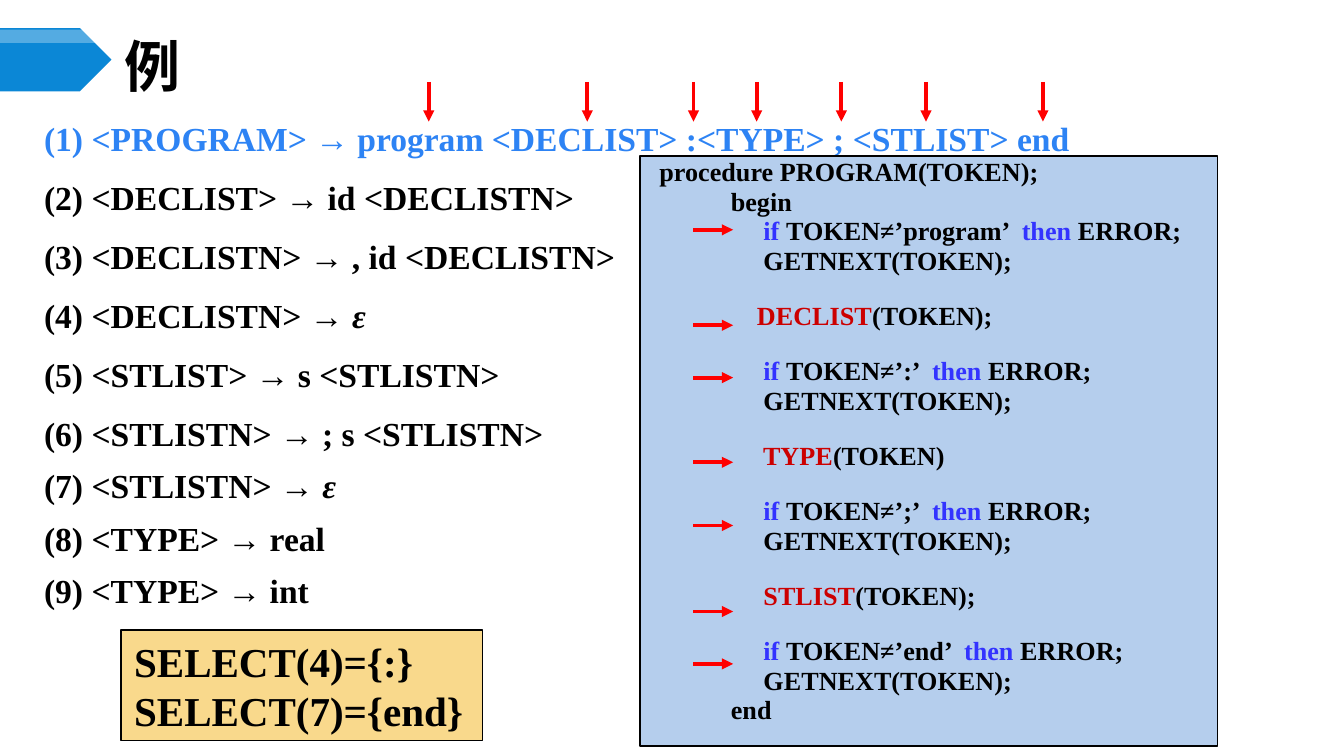
from dataclasses import dataclass
from typing import Optional

from lxml import etree
from pptx import Presentation
from pptx import util as u
from pptx.dml.color import RGBColor
from pptx.enum import shapes, text
from pptx.oxml.ns import qn


@dataclass(frozen=True)
class Theme:
    black: str = "000000"
    white: str = "FFFFFF"
    banner: str = "0B87D6"
    lead_rule: str = "2D83F4"
    keyword: str = "3333FF"
    call: str = "CC0000"
    arrow: str = "FF0000"
    code_fill: str = "B5CEED"
    select_fill: str = "F9D98C"
    serif: str = "Times New Roman"
    sans: str = "Noto Sans CJK SC"
    title_size: int = 30
    select_size: int = 22
    rule_size: int = 18
    code_size: int = 14


@dataclass(frozen=True)
class Run:
    words: str
    color: str = "000000"
    italic: bool = False


@dataclass(frozen=True)
class Line:
    runs: list[Run]
    before: float = 0
    indent: float = 0  # grid columns


@dataclass(frozen=True)
class Area:
    column: float
    row: float
    columns: float
    rows: float


THEME = Theme()
SLIDE_WIDTH = u.Inches(10)
CELL = SLIDE_WIDTH / 100  # square grid, 100 columns across

prs = Presentation()
prs.slide_width = SLIDE_WIDTH
prs.slide_height = SLIDE_WIDTH * 9 // 16
slide = prs.slides.add_slide(prs.slide_layouts[6])


def cells(count: float) -> u.Emu:
    return u.Emu(round(count * CELL))


def place(area: Area) -> list[u.Emu]:
    return [cells(n) for n in (area.column, area.row, area.columns, area.rows)]


def add_panel(area: Area, fill: str, kind=shapes.MSO_SHAPE.RECTANGLE,
              outline: Optional[str] = None, alpha: Optional[int] = None):
    panel = slide.shapes.add_shape(kind, *place(area))
    panel.shadow.inherit = False
    panel.fill.solid()
    panel.fill.fore_color.rgb = RGBColor.from_string(fill)
    if alpha is not None:
        color = panel.fill._xPr.find(".//" + qn("a:srgbClr"))
        etree.SubElement(color, qn("a:alpha"), val=str(alpha * 1000))
    if outline:
        panel.line.color.rgb = RGBColor.from_string(outline)
        panel.line.width = u.Pt(1)
    else:
        panel.line.fill.background()
    return panel


def add_box(area: Area):
    return slide.shapes.add_textbox(*place(area))


def write(holder, lines: list[Line], *, size: int, font: str = THEME.serif,
          spacing: Optional[int] = None, wrap: bool = True,
          anchor=text.MSO_ANCHOR.TOP) -> None:
    frame = holder.text_frame
    frame.word_wrap = wrap
    frame.vertical_anchor = anchor
    for number, line in enumerate(lines):
        paragraph = frame.add_paragraph() if number else frame.paragraphs[0]
        paragraph.alignment = text.PP_ALIGN.LEFT
        paragraph.space_before = u.Pt(line.before if number else 0)
        if spacing:
            paragraph.line_spacing = u.Pt(spacing)
        if line.indent:
            paragraph._p.get_or_add_pPr().set("marL", str(cells(line.indent)))
        for part in line.runs:
            run = paragraph.add_run()
            run.text = part.words
            run.font.size = u.Pt(size)
            run.font.bold = True
            run.font.italic = part.italic
            run.font.name = font
            run.font.color.rgb = RGBColor.from_string(part.color)
            etree.SubElement(run.font._rPr, qn("a:ea"), typeface=font)


def add_arrow(column: float, row: float, columns: float = 0, rows: float = 0) -> None:
    arrow = slide.shapes.add_connector(
        shapes.MSO_CONNECTOR.STRAIGHT, cells(column), cells(row),
        cells(column + columns), cells(row + rows))
    arrow.line.color.rgb = RGBColor.from_string(THEME.arrow)
    arrow.line.width = u.Pt(2)
    etree.SubElement(arrow.line._ln, qn("a:tailEnd"), type="triangle")
    etree.SubElement(arrow._element.spPr, qn("a:effectLst"))


# Banner and title
PENTAGON = shapes.MSO_SHAPE.PENTAGON
add_panel(Area(0, 2.1, 8.3, 4.7), THEME.banner, PENTAGON)
add_panel(Area(0, 2.2, 8.3, 1), THEME.white, PENTAGON, alpha=30)
write(add_box(Area(8.3, 2.9, 86.7, 3.9)), [Line([Run("例")])],
      size=THEME.title_size, font=THEME.sans, anchor=text.MSO_ANCHOR.MIDDLE)

# Selection sets
select_box = add_panel(Area(9, 46.9, 26.9, 8.2), THEME.select_fill, outline=THEME.black)
write(select_box, [Line([Run(s)]) for s in ("SELECT(4)={:}", "SELECT(7)={end}")],
      size=THEME.select_size, wrap=False, anchor=text.MSO_ANCHOR.MIDDLE)

# Grammar rules: the first is highlighted, the last three are set closer
EMPTY = "ε"
RULES = [
    ("PROGRAM", "program <DECLIST> :<TYPE> ; <STLIST> end"),
    ("DECLIST", "id <DECLISTN>"),
    ("DECLISTN", ", id <DECLISTN>"),
    ("DECLISTN", EMPTY),
    ("STLIST", "s <STLISTN>"),
    ("STLISTN", "; s <STLISTN>"),
    ("STLISTN", EMPTY),
    ("TYPE", "real"),
    ("TYPE", "int"),
]
grammar = []
for number, (head, body) in enumerate(RULES, 1):
    color = THEME.lead_rule if number == 1 else THEME.black
    left = f"({number}) <{head}> → "
    runs = ([Run(left, color), Run(body, color, italic=True)] if body == EMPTY
            else [Run(left + body, color)])
    grammar.append(Line(runs, before=3.6 if number <= 6 else 0))
write(add_box(Area(2.3, 7.4, 95.3, 39)), grammar, size=THEME.rule_size, spacing=28)

# Recursive-descent procedure: one step for each symbol of the first rule
CODE_GAP, STEP_GAP, CODE_INDENT = 2.8, 16.6, 5.8


def code_line(*runs: Run, before: float = CODE_GAP, indent: float = CODE_INDENT) -> Line:
    return Line(list(runs), before, indent)


def match_step(token: str, before: float) -> list[Line]:
    return [
        code_line(Run("     if ", THEME.keyword), Run(f"TOKEN≠’{token}’  "),
                  Run("then ", THEME.keyword), Run("ERROR;"), before=before),
        code_line(Run("     GETNEXT(TOKEN);")),
    ]


def call_step(name: str, rest: str) -> list[Line]:
    return [code_line(Run(name, THEME.call), Run(rest), before=STEP_GAP)]


procedure = [
    code_line(Run(" procedure PROGRAM(TOKEN);"), indent=0),
    code_line(Run("begin")),
    *match_step("program", CODE_GAP),
    *call_step("    DECLIST", "(TOKEN);"),
    *match_step(":", STEP_GAP),
    *call_step("     TYPE", "(TOKEN)"),
    *match_step(";", STEP_GAP),
    *call_step("     STLIST", "(TOKEN);"),
    *match_step("end", STEP_GAP),
    code_line(Run("end")),
]
code_panel = add_panel(Area(47.6, 11.6, 43, 43.9), THEME.code_fill, outline=THEME.black)
write(code_panel, procedure, size=THEME.code_size, spacing=13)

# Arrows at each symbol of the rule and at its step in the procedure
ARROW_LENGTH = 2.95
SYMBOL_COLUMNS = [31.9, 43.7, 51.6, 56.3, 62.6, 68.9, 77.6]
STEP_ROWS = [17.1, 24.2, 28.1, 34.4, 39.1, 45.5, 49.4]
for symbol_column, step_row in zip(SYMBOL_COLUMNS, STEP_ROWS):
    add_arrow(symbol_column, 6.1, rows=ARROW_LENGTH)
    add_arrow(51.6, step_row, columns=ARROW_LENGTH)

prs.save("out.pptx")
